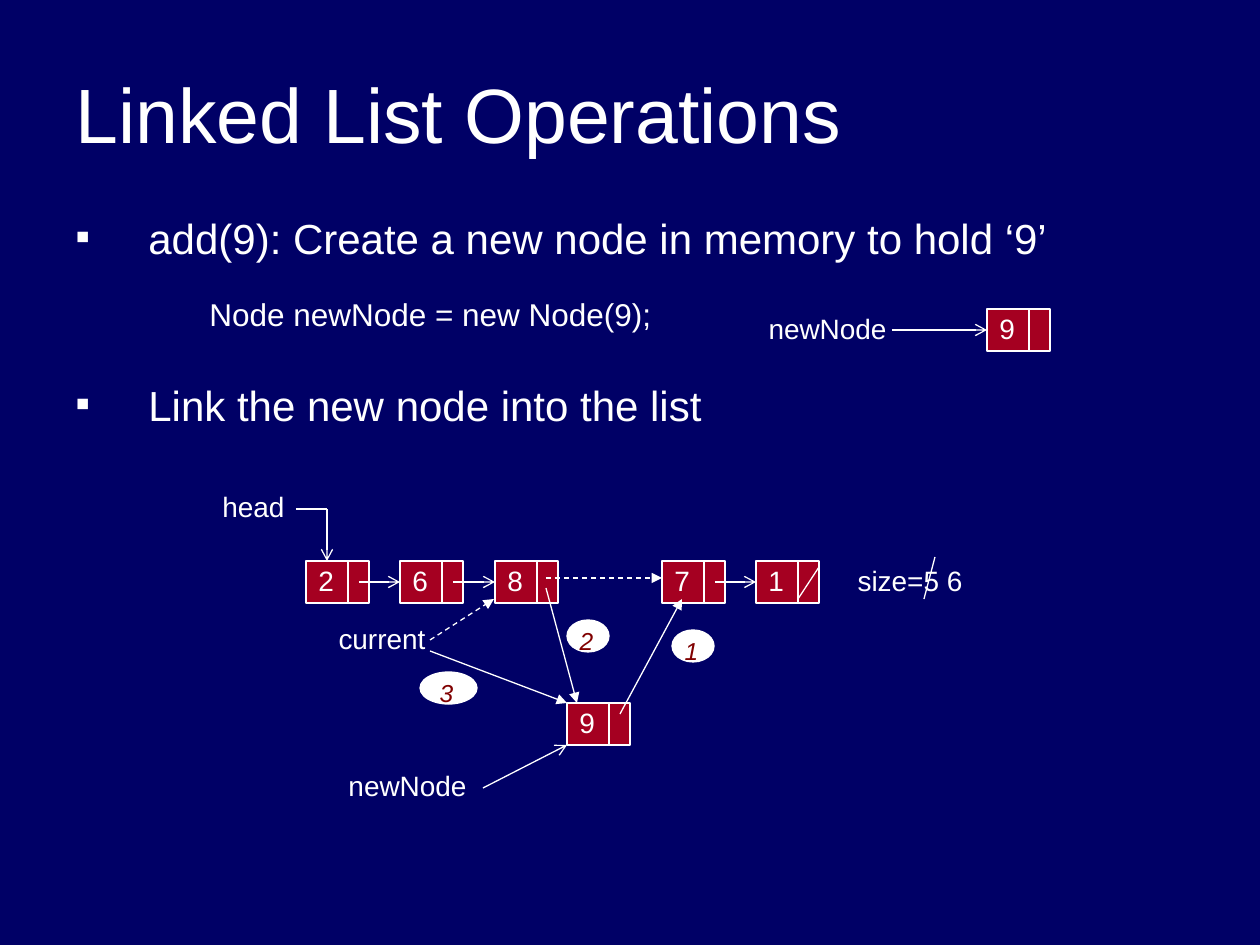
from lxml.etree import SubElement
from pptx import Presentation
from pptx.dml.color import RGBColor
from pptx.enum.dml import MSO_LINE_DASH_STYLE as Dash
from pptx.enum.shapes import MSO_CONNECTOR as Connector, MSO_SHAPE as Shape
from pptx.enum.text import MSO_ANCHOR as Anchor, PP_ALIGN as Align
from pptx.oxml.ns import qn
from pptx.util import Emu, Pt

NAVY = RGBColor(0x00, 0x00, 0x66)
CRIMSON = RGBColor(0xA5, 0x00, 0x21)
MAROON = RGBColor(0x80, 0x00, 0x00)
WHITE = RGBColor(0xFF, 0xFF, 0xFF)

EMU_PER_PX = 914400 / 126
NODE_WIDTH, NODE_HEIGHT, POINTER_OFFSET = 63, 42, 42
LIST_TOP = 561


def px(length):
    return Emu(round(length * EMU_PER_PX))


def style_paragraph(paragraph, size, color=WHITE, italic=False, align=Align.LEFT,
                    indent=0, bullet=None, before=0, spacing=None):
    paragraph.alignment = align
    paragraph.line_spacing = spacing
    paragraph.space_before = Pt(before)
    properties = paragraph._p.get_or_add_pPr()
    properties.set("marL", str(px(indent)))
    properties.set("indent", str(-px(indent) if bullet else 0))
    if bullet:
        SubElement(properties, qn("a:buFont"), typeface="Arial")
        SubElement(properties, qn("a:buChar"), char=bullet)
    font = paragraph.font
    font.name, font.size, font.italic = "Arial", Pt(size), italic
    font.color.rgb = color


def add_text(slide, text, left, top, width, height, size=16, wrap=False,
             anchor=Anchor.TOP, **style):
    box = slide.shapes.add_textbox(px(left), px(top), px(width), px(height))
    frame = box.text_frame
    frame.word_wrap = wrap
    frame.vertical_anchor = anchor
    frame.text = text
    style_paragraph(frame.paragraphs[0], size, **style)
    return frame


def add_item(frame, text, size, **style):
    paragraph = frame.add_paragraph()
    paragraph.text = text
    style_paragraph(paragraph, size, **style)


def add_block(slide, kind, left, top, width, height, fill):
    block = slide.shapes.add_shape(kind, px(left), px(top), px(width), px(height))
    block.shadow.inherit = False
    block.fill.solid()
    block.fill.fore_color.rgb = fill
    block.line.color.rgb = WHITE
    block.line.width = Pt(0.75)
    return block


def add_line(slide, start, end, head=None, dashed=False, target=None):
    line = slide.shapes.add_connector(Connector.STRAIGHT, *map(px, start + end))
    line.line.color.rgb = WHITE
    line.line.width = Pt(0.75)
    if dashed:
        line.line.dash_style = Dash.DASH
    if head:
        SubElement(line.line._get_or_add_ln(), qn("a:tailEnd"), type=head)
    SubElement(line._element.spPr, qn("a:effectLst"))
    if target is not None:
        line.end_connect(target, 1)


def add_node(slide, value, left, top):
    node = add_block(slide, Shape.RECTANGLE, left, top, NODE_WIDTH, NODE_HEIGHT, CRIMSON)
    divider = left + POINTER_OFFSET
    add_line(slide, (divider, top), (divider, top + NODE_HEIGHT))
    add_text(slide, value, left, top - 4, 34, 47)
    return node


def add_step(slide, number, left, top, width):
    add_block(slide, Shape.OVAL, left, top, width, 32, WHITE)
    add_text(slide, number, left + (width - 42) // 2, top, 39, 43, size=14,
             color=MAROON, italic=True, align=Align.CENTER)


def add_body(slide):
    add_text(slide, "Linked List Operations", 63, 50, 1134, 126, size=44,
             wrap=True, anchor=Anchor.MIDDLE)
    bullet = dict(indent=73, bullet="▪", spacing=0.7)
    body = add_text(slide, "add(9): Create a new node in memory to hold ‘9’",
                    63, 220, 1134, 220, size=24, wrap=True, **bullet)
    add_item(body, "Node newNode = new Node(9);", 18, indent=134, before=25, spacing=0.7)
    add_item(body, "Link the new node into the list", 24, before=35, **bullet)


def add_list(slide):
    middle = LIST_TOP + NODE_HEIGHT // 2
    lefts = {"2": 306, "6": 400, "8": 495, "7": 662, "1": 756}
    nodes = {value: add_node(slide, value, left, LIST_TOP) for value, left in lefts.items()}
    for value, following in ("26", "68", "71"):
        add_line(slide, (lefts[value] + 53, middle), (lefts[following], middle),
                 head="arrow", target=nodes[following])
    add_line(slide, (819, 567), (798, 599))
    add_line(slide, (296, 509), (327, 509))
    add_line(slide, (327, 509), (327, LIST_TOP), head="arrow")
    add_line(slide, (935, 557), (924, 599))


def add_insertion(slide):
    created = add_node(slide, "9", 987, 309)
    add_line(slide, (892, 330), (987, 330), head="arrow", target=created)
    add_node(slide, "9", 567, 703)
    add_line(slide, (483, 788), (567, 745), head="arrow")
    for start, end, dashed in (
        ((620, 714), (682, 599), False),
        ((546, 588), (577, 703), False),
        ((430, 651), (567, 703), False),
        ((546, 578), (662, 578), True),
        ((430, 640), (494, 599), True),
    ):
        add_line(slide, start, end, head="triangle", dashed=dashed)
    for number, left, top, width in (("1", 672, 630, 42), ("3", 420, 672, 57), ("2", 567, 620, 42)):
        add_step(slide, number, left, top, width)


def add_labels(slide):
    for text, left, top, width in (
        ("newNode", 756, 305, 143),
        ("head", 210, 483, 87),
        ("current", 326, 615, 112),
        ("size=5 6", 845, 557, 130),
        ("newNode", 336, 762, 143),
    ):
        add_text(slide, text, left, top, width, 47, align=Align.CENTER)


def main():
    presentation = Presentation()
    presentation.slide_width, presentation.slide_height = px(1260), px(945)
    slide = presentation.slides.add_slide(presentation.slide_layouts[6])
    slide.background.fill.solid()
    slide.background.fill.fore_color.rgb = NAVY
    add_body(slide)
    add_list(slide)
    add_insertion(slide)
    add_labels(slide)
    presentation.save("out.pptx")


if __name__ == "__main__":
    main()
